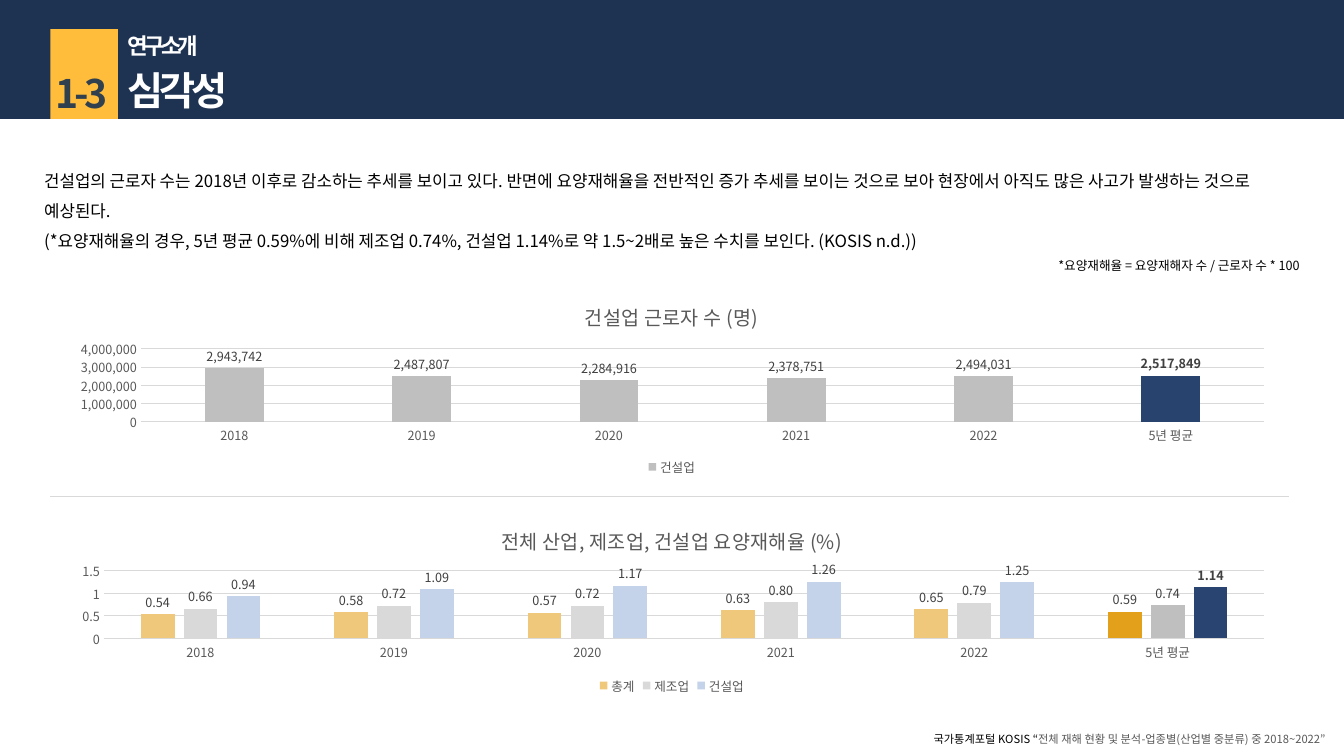
from lxml import etree
from pptx import Presentation
from pptx import util as u
from pptx.chart.data import CategoryChartData
from pptx.dml.color import RGBColor
from pptx.enum import chart as charts, shapes, text
from pptx.oxml import ns

NAVY = RGBColor(0x1E, 0x32, 0x52)
YELLOW = RGBColor(0xFF, 0xBD, 0x3B)
SLATE = RGBColor(0x30, 0x40, 0x4F)
WHITE = RGBColor(0xFF, 0xFF, 0xFF)
BLACK = RGBColor(0, 0, 0)
SOURCE_GREY = RGBColor(0x58, 0x58, 0x58)
AXIS_GREY = RGBColor(0x59, 0x59, 0x59)
LABEL_GREY = RGBColor(0x40, 0x40, 0x40)
RULE_GREY = RGBColor(0xD9, 0xD9, 0xD9)
BAR_GREY = RGBColor(0xBF, 0xBF, 0xBF)
BAR_NAVY = RGBColor(0x28, 0x43, 0x6E)
DEEP_NAVY = RGBColor(0x29, 0x44, 0x71)
SAND = RGBColor(0xEF, 0xC8, 0x7B)
AMBER = RGBColor(0xE3, 0xA0, 0x1B)
PALE_BLUE = RGBColor(0xC5, 0xD3, 0xEA)

YEARS = ["2018", "2019", "2020", "2021", "2022", "5년 평균"]
AVERAGE = len(YEARS) - 1
COLUMNS, ROWS = 80, 45


class SlideBuilder:
    """Holds the page and its style; lengths are grid columns and rows."""

    typeface = "Noto Sans CJK KR"

    def __init__(self, deck):
        self.deck = deck
        self.page = deck.slides.add_slide(deck.slide_layouts[6])

    def place(self, left, top, width, height):
        column, row = self.deck.slide_width / COLUMNS, self.deck.slide_height / ROWS
        return [round(n) for n in (left * column, top * row, width * column, height * row)]

    def style(self, font, size, color, bold=False, spacing=None):
        font.size, font.bold, font.name = u.Pt(size), bold, self.typeface
        font.color.rgb = color
        east_asian = etree.SubElement(font._rPr, ns.qn("a:ea"))
        east_asian.set("typeface", self.typeface)
        if spacing is not None:
            font._rPr.set("spc", str(spacing * 100))

    def block(self, area, color):
        shape = self.page.shapes.add_shape(shapes.MSO_SHAPE.RECTANGLE, *self.place(*area))
        shape.shadow.inherit = False
        shape.fill.solid()
        shape.fill.fore_color.rgb = color
        shape.line.fill.background()

    def words(self, area, lines, size, color=BLACK, align=text.PP_ALIGN.LEFT,
              bold=False, spacing=None, leading=None):
        """Each line is a string, or a list of (wording, color) spans."""
        box = self.page.shapes.add_textbox(*self.place(*area))
        frame = box.text_frame
        frame.word_wrap = True
        for index, line in enumerate(lines):
            para = frame.add_paragraph() if index else frame.paragraphs[0]
            para.alignment = align
            if leading:
                para.line_spacing = leading
            self.style(para.font, size, color, bold, spacing)
            spans = [(line, color)] if isinstance(line, str) else line
            for wording, span_color in spans:
                span = para.add_run()
                span.text = wording
                self.style(span.font, size, span_color, bold, spacing)

    def rule(self, left, right, row):
        x, y, width, _ = self.place(left, row, right - left, 0)
        line = self.page.shapes.add_connector(
            shapes.MSO_CONNECTOR.STRAIGHT, x, y, x + width, y)
        line.line.color.rgb, line.line.width = RULE_GREY, u.Pt(0.5)
        etree.SubElement(line._element.spPr, ns.qn("a:effectLst"))

    def columns(self, area, title, series, number_format, axis_format, top, step, plot_area):
        """Each series is (name, values, color, average color, bold average)."""
        data = CategoryChartData(number_format=number_format)
        data.categories = YEARS
        for name, values, *_ in series:
            data.add_series(name, values)
        chart = self.page.shapes.add_chart(
            charts.XL_CHART_TYPE.COLUMN_CLUSTERED, *self.place(*area), data).chart
        self.style(chart.font, 10, BLACK)

        # Title and legend
        chart.has_title = True
        para = chart.chart_title.text_frame.paragraphs[0]
        self.style(para.font, 14, AXIS_GREY)
        para.add_run().text = title
        chart.has_legend = True
        chart.legend.position = charts.XL_LEGEND_POSITION.BOTTOM
        chart.legend.include_in_layout = False
        self.style(chart.legend.font, 9, AXIS_GREY)

        # Axes
        for axis in (chart.category_axis, chart.value_axis):
            axis.major_tick_mark = axis.minor_tick_mark = charts.XL_TICK_MARK.NONE
            self.style(axis.tick_labels.font, 9, AXIS_GREY)
        scale = chart.value_axis
        scale.minimum_scale, scale.maximum_scale, scale.major_unit = 0, top, step
        scale.tick_labels.number_format = axis_format
        scale.tick_labels.number_format_is_linked = False
        scale.format.line.fill.background()
        for line in (chart.category_axis.format.line, scale.major_gridlines.format.line):
            line.color.rgb, line.width = RULE_GREY, u.Pt(0.75)

        # Bars, with the five-year average picked out
        plot = chart.plots[0]
        plot.gap_width, plot.overlap, plot.vary_by_categories = 219, -27, False
        for bars, (_, _, color, average_color, bold) in zip(plot.series, series):
            average = bars.points[AVERAGE]
            for part, fill_color in ((bars, color), (average, average_color)):
                part.format.fill.solid()
                part.format.fill.fore_color.rgb = fill_color
            labels = bars.data_labels
            labels.show_value = True
            labels.number_format, labels.number_format_is_linked = number_format, False
            labels.position = charts.XL_LABEL_POSITION.OUTSIDE_END
            self.style(labels.font, 9, LABEL_GREY)
            if bold:
                self.style(average.data_label.font, 9, LABEL_GREY, True)
                average.data_label.position = charts.XL_LABEL_POSITION.OUTSIDE_END

        # Plot area as shares of the chart
        area_xml = chart._chartSpace.chart.plotArea
        for old in area_xml.findall(ns.qn("c:layout")):
            area_xml.remove(old)
        layout = etree.Element(ns.qn("c:layout"))
        manual = etree.SubElement(layout, ns.qn("c:manualLayout"))
        settings = [("layoutTarget", "inner"), ("xMode", "edge"), ("yMode", "edge")]
        for tag, value in settings + list(zip("xywh", plot_area)):
            etree.SubElement(manual, ns.qn("c:" + tag)).set("val", str(value))
        area_xml.insert(0, layout)


def main():
    deck = Presentation()
    deck.slide_width, deck.slide_height = u.Inches(13.33), u.Inches(7.5)
    slide = SlideBuilder(deck)

    # Source and definition
    right = text.PP_ALIGN.RIGHT
    slide.words((50.94, 43.32, 28.56, 1.44), [[
        ("국가통계포털 KOSIS “", BLACK),
        ("전체 재해 현황 및 분석-업종별(산업별 중분류) 중 2018~2022”", SOURCE_GREY),
    ]], 8, align=right)
    slide.words((56.64, 15.06, 21.3, 1.5),
                ["*요양재해율 = 요양재해자 수 / 근로자 수 * 100"], 9, align=right)

    # Header
    slide.block((0, 0, COLUMNS, 7.08), NAVY)
    slide.block((3, 1.74, 4.02, 5.34), YELLOW)
    slide.words((7.02, 3.66, 33, 3.42), ["심각성"], 28, WHITE, bold=True, spacing=-3)
    slide.words((7.02, 1.62, 33, 2.22), ["연구 소개"], 16, WHITE, bold=True, spacing=-3)
    slide.words((2.28, 3.84, 5.16, 3.42), ["1-3"], 28, SLATE,
                text.PP_ALIGN.CENTER, bold=True, spacing=-3)

    # Findings
    slide.words((2.04, 9.24, 76.44, 5.82), [
        "건설업의 근로자 수는 2018년 이후로 감소하는 추세를 보이고 있다. 반면에 요양재해율을 "
        "전반적인 증가 추세를 보이는 것으로 보아 현장에서 아직도 많은 사고가 발생하는 것으로 예상된다.",
        "(*요양재해율의 경우, 5년 평균 0.59%에 비해 제조업 0.74%, 건설업 1.14%로 "
        "약 1.5~2배로 높은 수치를 보인다. (KOSIS n.d.))",
    ], 12, leading=1.5)

    # Charts
    workers = [2943742, 2487807, 2284916, 2378751, 2494031, 2517849]
    slide.columns((3.24, 17.1, 73.5, 11.46), "건설업 근로자 수 (명)",
                  [("건설업", workers, BAR_GREY, BAR_NAVY, True)],
                  "#,##0", "#,##0", 4000000, 1000000, (0.07, 0.32, 0.91, 0.38))
    slide.columns((3.24, 30.42, 73.5, 11.16), "전체 산업, 제조업, 건설업 요양재해율 (%)", [
        ("총계", [0.54, 0.58, 0.57, 0.63, 0.65, 0.59], SAND, AMBER, False),
        ("제조업", [0.66, 0.72, 0.72, 0.8, 0.79, 0.74], RULE_GREY, BAR_GREY, False),
        ("건설업", [0.94, 1.09, 1.17, 1.26, 1.25, 1.14], PALE_BLUE, DEEP_NAVY, True),
    ], "#,##0.00", "General", 1.5, 0.5, (0.04, 0.32, 0.94, 0.36))
    slide.rule(3, 76.74, 29.52)

    deck.save("out.pptx")


if __name__ == "__main__":
    main()
